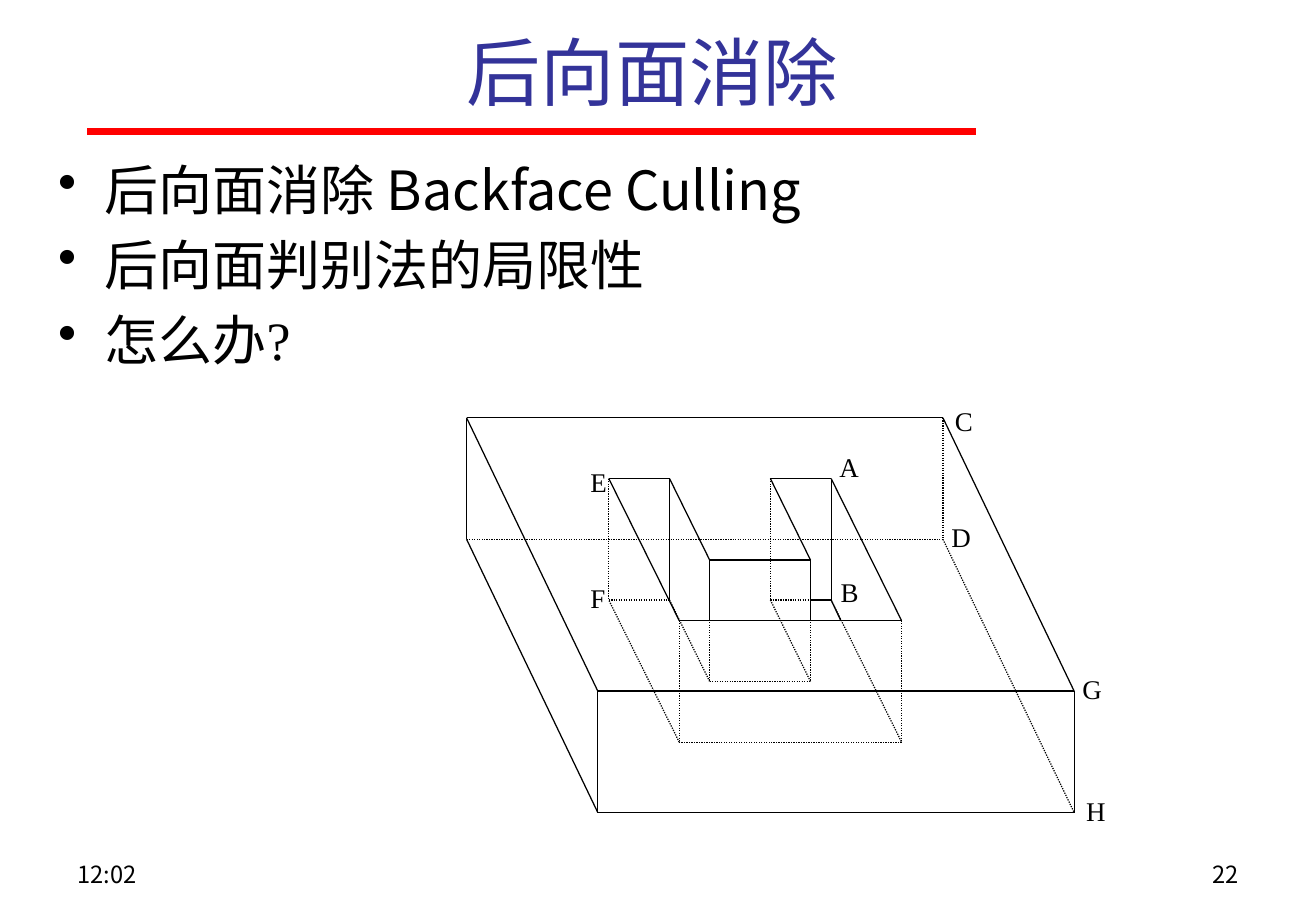
import pptx
import pptx.util
import pptx.dml.color
import pptx.enum.dml
import pptx.enum.shapes
import pptx.enum.text
import pptx.oxml.ns
from lxml import etree

Inches = pptx.util.Inches
Pt = pptx.util.Pt
align = pptx.enum.text.PP_ALIGN
theme = {
    "sans": "Noto Sans CJK SC", "serif": "Times New Roman",
    "title": 44, "body": 32, "label": 16, "foot": 14,
    "blue": "333399", "black": "000000", "red": "FF0000",
}

deck = pptx.Presentation()
deck.slide_width = Inches(10.83)
deck.slide_height = Inches(7.5)
slide = deck.slides.add_slide(deck.slide_layouts[6])


def line(start, end, color="black", width=0.75, hidden=False):
    edge = slide.shapes.add_connector(
        pptx.enum.shapes.MSO_CONNECTOR.STRAIGHT,
        *[Inches(value) for value in (*start, *end)])
    edge.line.color.rgb = pptx.dml.color.RGBColor.from_string(theme[color])
    edge.line.width = Pt(width)
    if hidden:
        edge.line.dash_style = pptx.enum.dml.MSO_LINE.ROUND_DOT
    etree.SubElement(edge._element.spPr, pptx.oxml.ns.qn("a:effectLst"))


def write(para, text, size, font="sans", color="black"):
    run = para.add_run()
    run.text = text
    run.font.size = Pt(theme[size])
    run.font.name = theme[font]
    run.font.color.rgb = pptx.dml.color.RGBColor.from_string(theme[color])
    east = etree.SubElement(run.font._element, pptx.oxml.ns.qn("a:ea"))
    east.set("typeface", theme["sans"])


line((0.72, 1.08), (8.03, 1.08), "red", 4)

heads = [
    ("后向面消除", (0.18, 0.08, 10.38, 1), "title", "blue", align.CENTER),
    ("12:02", (0.54, 7.03, 2.53, 0.35), "foot", "black", align.LEFT),
    ("22", (7.76, 7.03, 2.53, 0.35), "foot", "black", align.RIGHT),
]
for text, place, size, color, side in heads:
    frame = slide.shapes.add_textbox(*[Inches(v) for v in place]).text_frame
    frame.word_wrap = True
    if size == "title":
        frame.vertical_anchor = pptx.enum.text.MSO_ANCHOR.MIDDLE
    frame.paragraphs[0].alignment = side
    write(frame.paragraphs[0], text, size, color=color)

depth = 1
block = [(3.84, 3.44), (7.76, 3.44), (8.84, 5.69), (4.92, 5.69)]
slot = [(5.01, 3.94), (5.51, 3.94), (5.84, 4.61), (6.67, 4.61),
        (6.34, 3.94), (6.84, 3.94), (7.42, 5.11), (5.59, 5.11)]
solids = [
    (block, {2, 3}, {0, 2, 3}),
    (slot, set(), {1, 5}),
]
for rim, floors, posts in solids:
    for index, (x, y) in enumerate(rim):
        far, low = rim[(index + 1) % len(rim)]
        line((x, y), (far, low))
        line((x, y + depth), (far, low + depth), hidden=index not in floors)
        line((x, y), (x, y + depth), hidden=index not in posts)

seen = [
    ((5.84, 4.61), (5.84, 5.11)),
    ((6.67, 4.61), (6.67, 5.11)),
    ((6.84, 4.94), (6.92, 5.11)),
    ((6.84, 4.94), (6.67, 4.94)),
]
for start, end in seen:
    line(start, end)

labels = {
    "A": (6.81, 3.66), "B": (6.82, 4.69), "C": (7.76, 3.28),
    "D": (7.73, 4.24), "E": (4.76, 3.78), "F": (4.76, 4.74),
    "G": (8.81, 5.49), "H": (8.84, 6.49),
}
for name, (x, y) in labels.items():
    box = slide.shapes.add_textbox(
        Inches(x), Inches(y), Inches(0.35), Inches(0.37))
    box.text_frame.word_wrap = False
    write(box.text_frame.paragraphs[0], name, "label", "serif")

frame = slide.shapes.add_textbox(
    Inches(0.38), Inches(1.2), Inches(9.12), Inches(5.45)).text_frame
frame.word_wrap = True
points = [
    ("后向面消除 Backface Culling", "sans"),
    ("后向面判别法的局限性", "serif"),
    ("怎么办?", "serif"),
]
for index, (text, font) in enumerate(points):
    para = frame.add_paragraph() if index else frame.paragraphs[0]
    props = para._p.get_or_add_pPr()
    props.set("marL", str(Inches(0.38)))
    props.set("indent", str(Inches(-0.38)))
    etree.SubElement(props, pptx.oxml.ns.qn("a:buChar")).set("char", "•")
    para.line_spacing = Pt(41)
    if index:
        para.space_before = Pt(3.7)
    write(para, text, "body", font)

deck.save("out.pptx")
